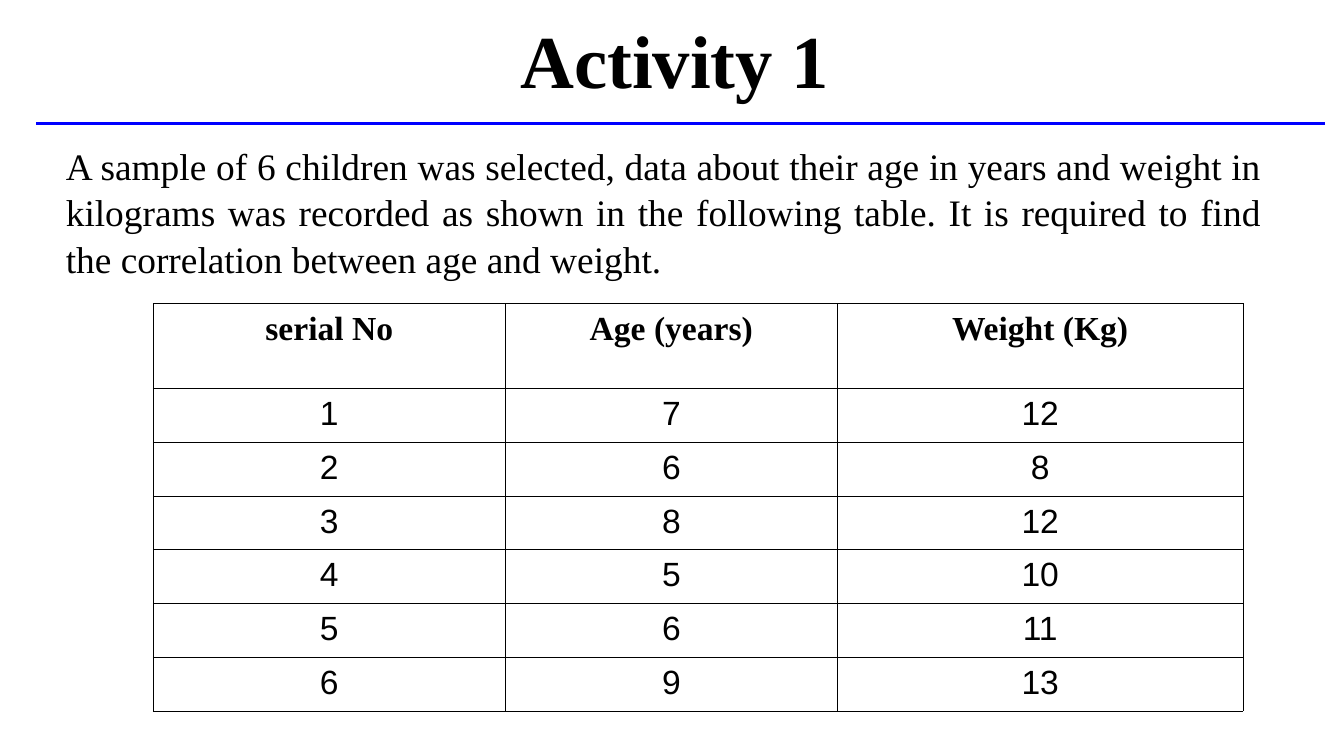
from dataclasses import dataclass

from lxml.etree import SubElement
from pptx import Presentation
from pptx.dml.color import RGBColor
from pptx.enum.shapes import MSO_CONNECTOR as Connector
from pptx.enum.text import MSO_ANCHOR as Anchor, MSO_AUTO_SIZE as AutoSize, PP_ALIGN as Align
from pptx.oxml.ns import qn
from pptx.util import Pt


@dataclass(frozen=True)
class Theme:
    text: str = "000000"
    rule: str = "0000FF"
    font: str = "Times New Roman"
    digit_font: str = "Arial"
    title_size: float = 40
    body_size: float = 20
    table_size: float = 18
    rule_width: float = 1.5
    border_width: float = 0.45


THEME = Theme()

QUESTION = (
    "A sample of 6 children was selected, data about their age in years and weight in "
    "kilograms was recorded as shown in the following table. It is required to find "
    "the correlation between age and weight."
)
HEADINGS = ("serial No", "Age (years)", "Weight (Kg)")
AGES = (7, 6, 8, 5, 6, 9)
WEIGHTS = (12, 8, 12, 10, 11, 13)
COLUMN_WIDTHS = (188.64, 177.84, 217.44)
HEADING_HEIGHT, CHILD_HEIGHT = 45.36, 28.8


def apply(target, formats):
    for name, value in formats.items():
        setattr(target, name, value)


def style_font(font, size, bold=False):
    apply(font, {"name": THEME.font, "size": Pt(size), "bold": bold})
    font.color.rgb = RGBColor.from_string(THEME.text)


def fill_placeholder(holder, text, bounds, size, frame_formats, paragraph_formats, bold=False):
    apply(holder, dict(zip(("left", "top", "width", "height"), map(Pt, bounds))))
    frame = holder.text_frame
    frame.text = text
    apply(frame, {"word_wrap": True, "auto_size": AutoSize.NONE, **frame_formats})
    paragraph = frame.paragraphs[0]
    apply(paragraph, {"space_before": Pt(0), **paragraph_formats})
    style_font(paragraph.runs[0].font, size, bold)
    return paragraph


def add_title(slide):
    fill_placeholder(
        slide.shapes.title, "Activity 1", (5.76, 10.8, 711.36, 49.68), THEME.title_size,
        {"vertical_anchor": Anchor.MIDDLE},
        {"alignment": Align.CENTER, "line_spacing": 0.8}, bold=True,
    )


def add_question(slide):
    paragraph = fill_placeholder(
        slide.placeholders[1], QUESTION, (5.76, 70.56, 677.52, 84.96), THEME.body_size,
        {"vertical_anchor": Anchor.TOP, "margin_top": Pt(5)},
        {"alignment": Align.JUSTIFY, "line_spacing": 1.04},
    )
    properties = paragraph._p.get_or_add_pPr()
    properties.set("marL", str(Pt(22.32)))
    properties.set("indent", "0")
    SubElement(properties, qn("a:buNone"))


def add_rule(slide, left, right, y):
    rule = slide.shapes.add_connector(Connector.STRAIGHT, Pt(left), Pt(y), Pt(right), Pt(y))
    rule.line.color.rgb = RGBColor.from_string(THEME.rule)
    rule.line.width = Pt(THEME.rule_width)
    SubElement(rule._element.spPr, qn("a:effectLst"))


def add_borders(cell):
    properties = cell._tc.get_or_add_tcPr()
    for side in ("lnL", "lnR", "lnT", "lnB"):
        border = SubElement(properties, qn(f"a:{side}"), w=str(Pt(THEME.border_width)))
        fill = SubElement(border, qn("a:solidFill"))
        SubElement(fill, qn("a:srgbClr"), val=THEME.text)


def fill_cell(cell, value, bold):
    add_borders(cell)
    cell.fill.background()
    cell.text = str(value)
    paragraph = cell.text_frame.paragraphs[0]
    paragraph.alignment = Align.CENTER
    paragraph._p.get_or_add_pPr().set("rtl", "1")
    font = paragraph.runs[0].font
    style_font(font, THEME.table_size, bold)
    SubElement(font._element, qn("a:cs"), typeface=THEME.digit_font)


def add_children_table(slide):
    records = [HEADINGS, *zip(range(1, len(AGES) + 1), AGES, WEIGHTS)]
    heights = [HEADING_HEIGHT] + [CHILD_HEIGHT - 1.44 + 1.44] * len(AGES)
    table = slide.shapes.add_table(
        len(records), len(HEADINGS), Pt(82.08), Pt(162.72),
        Pt(sum(COLUMN_WIDTHS)), Pt(sum(heights)),
    ).table
    apply(table, {"first_row": False, "horz_banding": False})
    for column, width in zip(table.columns, COLUMN_WIDTHS):
        column.width = Pt(width)
    for row, height, record in zip(table.rows, heights, records):
        row.height = Pt(height)
        for cell, value in zip(row.cells, record):
            fill_cell(cell, value, bold=record is HEADINGS)


def main():
    deck = Presentation()
    apply(deck, {"slide_width": Pt(720), "slide_height": Pt(405)})
    slide = deck.slides.add_slide(deck.slide_layouts[1])
    add_children_table(slide)
    add_question(slide)
    add_title(slide)
    add_rule(slide, 19.44, 709.92, 66.24)
    deck.save("out.pptx")


if __name__ == "__main__":
    main()
